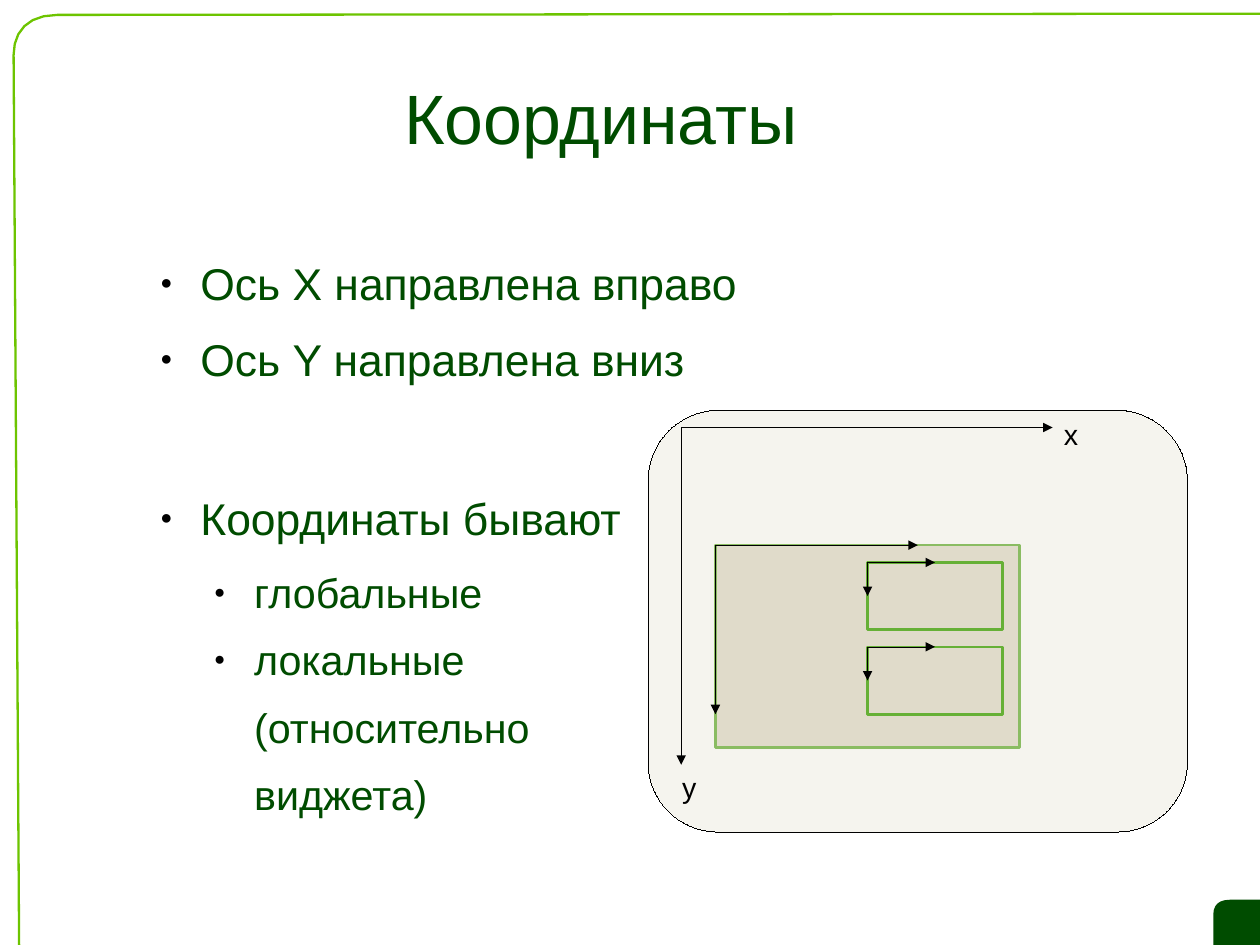
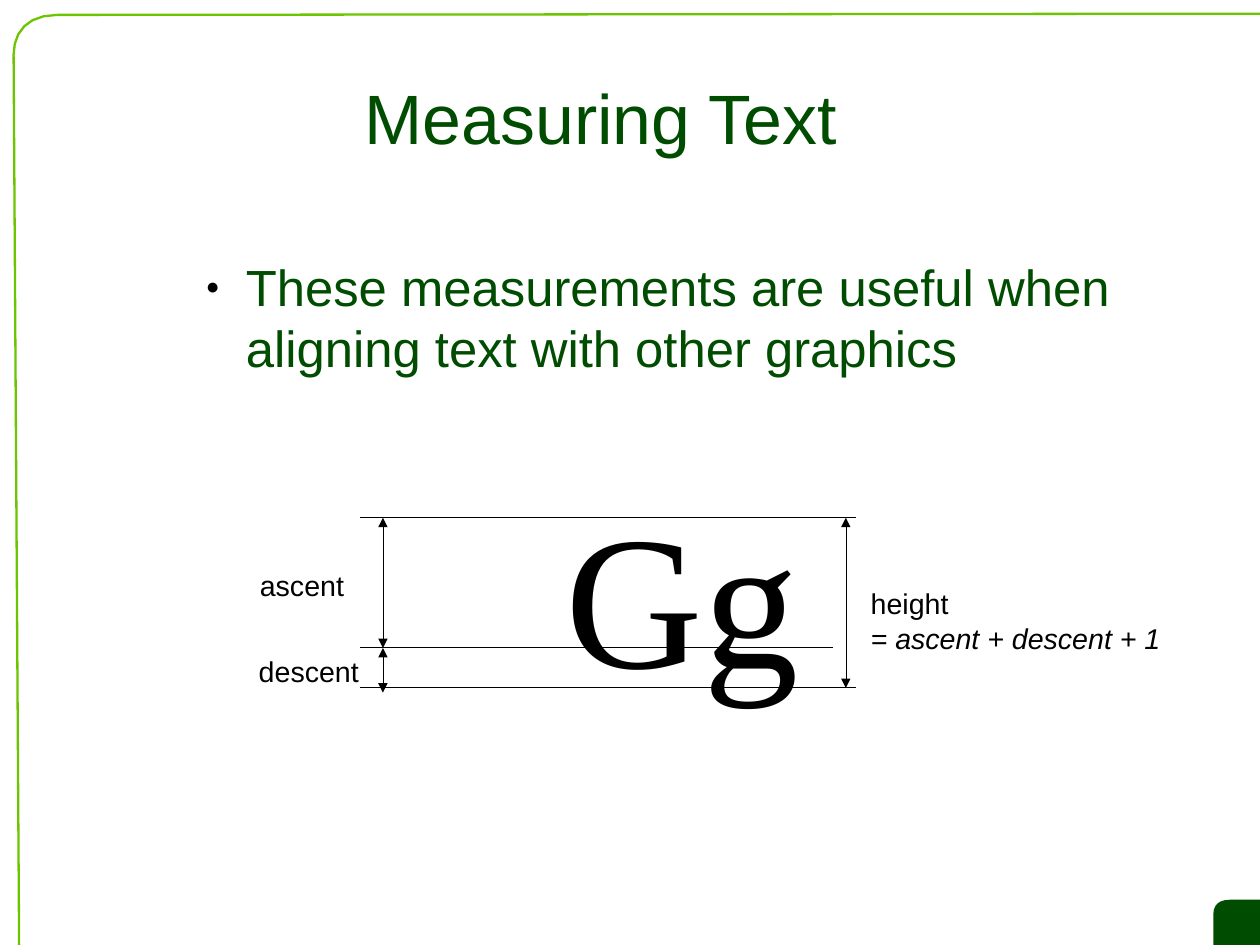
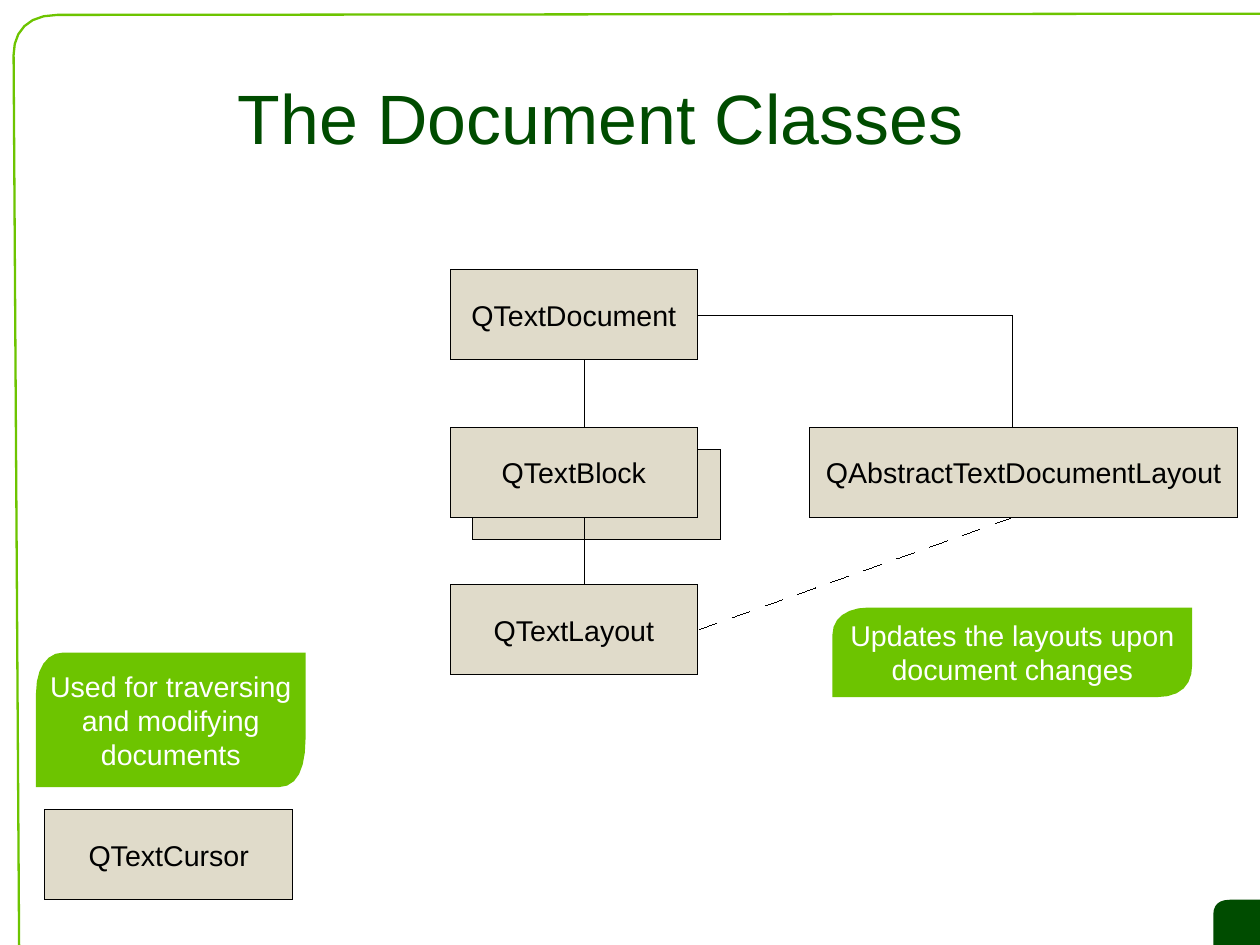
import dataclasses
from typing import Any, NamedTuple, Optional

import lxml.etree
import pptx
import pptx.dml.color
import pptx.enum.shapes
import pptx.enum.text
import pptx.oxml.ns
import pptx.util

Pt = pptx.util.Pt
Shape = pptx.enum.shapes.MSO_SHAPE
Align = pptx.enum.text.PP_ALIGN
Anchor = pptx.enum.text.MSO_ANCHOR


@dataclasses.dataclass(frozen=True)
class Theme:
    dark: str = "004C00"
    lime: str = "6DC400"
    leaf: str = "66B036"
    sand: str = "E0DBCA"
    black: str = "000000"
    white: str = "FFFFFF"
    sans: str = "Arial"
    serif: str = "Times New Roman"
    title: float = 44
    lead: float = 32
    item: float = 28
    sub: float = 26
    label: float = 18
    glyph: float = 120
    hair: float = 0.01


THEME = Theme()


class Box(NamedTuple):
    left: float
    top: float
    width: float
    height: float


class Item(NamedTuple):
    text: str
    size: float
    level: int = 0
    dot: bool = True
    before: float = 0


class Line(NamedTuple):
    x1: float
    y1: float
    x2: float
    y2: float
    ends: tuple[str, ...] = ()
    dash: bool = False


class Axes(NamedTuple):
    x: float
    y: float
    right: float
    down: float


class Label(NamedTuple):
    box: Box
    rows: tuple[str, ...]
    size: float = THEME.label
    font: str = THEME.sans


class Node(NamedTuple):
    box: Box
    text: str = ""


# Outlines: a pair is a straight step, six numbers are a Bézier curve.
Path = tuple[tuple[float, ...], ...]
FRAME: Path = (
    (36, 9.4), (17.5, 9.4, 8.6, 20, 8.6, 34.6),
    (12.2, 615.6), (815, 617), (811.4, 8.6),
)
CORNER: Path = (
    (774.7, 566.8), (796.3, 566.8), (796.3, 597.6), (764.3, 597.6),
    (764.3, 576), (764.3, 570, 768, 566.8, 774.7, 566.8),
)
PETAL: Path = (
    (0.1, 0), (1, 0), (1, 0.64), (1, 0.86, 0.97, 1, 0.9, 1),
    (0, 1), (0, 0.3), (0, 0.12, 0.04, 0, 0.1, 0),
)
TITLE = Box(120.5, 27.4, 516.2, 92)
HEAD = ("headEnd",)
TAIL = ("tailEnd",)


def put(target: Any, **values: Any) -> None:
    for name, value in values.items():
        setattr(target, name, value)


def rgb(color: str) -> pptx.dml.color.RGBColor:
    return pptx.dml.color.RGBColor.from_string(color)


def sub(parent: Any, tag: str, **attrs: str) -> Any:
    return lxml.etree.SubElement(parent, pptx.oxml.ns.qn(f"a:{tag}"), attrs)


def write(para: Any, text: str, size: float, color: str,
          font: str = THEME.sans, italic: bool = False) -> None:
    run = para.add_run()
    run.text = text
    put(run.font, name=font, size=Pt(size), italic=italic)
    run.font.color.rgb = rgb(color)


def pad(frame: Any, side: float, end: float) -> None:
    put(frame, margin_left=Pt(side), margin_right=Pt(side),
        margin_top=Pt(end), margin_bottom=Pt(end))


def paras(frame: Any, count: int) -> list:
    return [frame.paragraphs[0]] + [frame.add_paragraph() for _ in range(count - 1)]


def paint(shape: Any, fill: Optional[str], line: Optional[str],
          width: float = THEME.hair) -> None:
    shape.shadow.inherit = False
    if fill:
        shape.fill.solid()
        shape.fill.fore_color.rgb = rgb(fill)
    else:
        shape.fill.background()
    if line:
        shape.line.color.rgb = rgb(line)
        shape.line.width = Pt(width)
    else:
        shape.line.fill.background()


def trace(path: Path, steps: int = 6) -> list[tuple[float, float]]:
    """Turn an outline into points, sampling its curves."""
    points = [path[0]]
    for part in path[1:]:
        if len(part) == 2:
            points.append(part)
            continue
        ends = (points[-1], part[:2], part[2:4], part[4:])
        for step in range(1, steps + 1):
            t = step / steps
            marks = ((1 - t) ** 3, 3 * t * (1 - t) ** 2, 3 * t * t * (1 - t), t ** 3)
            points.append(tuple(
                sum(m * end[axis] for m, end in zip(marks, ends)) for axis in (0, 1)))
    return points


def outline(slide: Any, path: Path, box: Box = Box(0, 0, 1, 1)) -> Any:
    """Draw an outline scaled into a box."""
    points = [(Pt(box.left + x * box.width), Pt(box.top + y * box.height))
              for x, y in trace(path)]
    pen = slide.shapes.build_freeform(*points[0])
    pen.add_line_segments(points[1:], close=True)
    return pen.convert_to_shape()


def block(slide: Any, box: Box, kind: Any = Shape.RECTANGLE,
          line: str = THEME.black, width: float = THEME.hair) -> Any:
    shape = slide.shapes.add_shape(kind, *map(Pt, box))
    paint(shape, THEME.sand, line, width)
    return shape


def link(slide: Any, line: Line) -> None:
    wire = slide.shapes.add_connector(
        pptx.enum.shapes.MSO_CONNECTOR.STRAIGHT, *map(Pt, line[:4]))
    wire.line.color.rgb = rgb(THEME.black)
    wire.line.width = Pt(THEME.hair)
    props = wire.element.spPr
    stroke = props.find(pptx.oxml.ns.qn("a:ln"))
    if line.dash:
        sub(sub(stroke, "custDash"), "ds", d="1540000", sp="1340000")
    for end in line.ends:
        sub(stroke, end, type="triangle")
    sub(props, "effectLst")


def cross(slide: Any, axes: Axes) -> None:
    """Draw an x arrow and a y arrow from one origin."""
    x, y, right, down = axes
    link(slide, Line(x, y, x + right, y, TAIL))
    link(slide, Line(x, y, x, y + down, TAIL))


def tag(slide: Any, label: Label) -> None:
    frame = slide.shapes.add_textbox(*map(Pt, label.box)).text_frame
    frame.word_wrap = True
    pad(frame, 7.2, 3.6)
    for para, row in zip(paras(frame, len(label.rows)), label.rows):
        write(para, row, label.size, THEME.black, label.font, row.startswith("="))


def centre(shape: Any, rows: tuple[str, ...], color: str) -> None:
    frame = shape.text_frame
    put(frame, word_wrap=True, vertical_anchor=Anchor.MIDDLE)
    pad(frame, 7.2, 3.6)
    for para, row in zip(paras(frame, len(rows)), rows):
        para.alignment = Align.CENTER
        write(para, row, THEME.label, color)


def bullets(slide: Any, box: Box, items: tuple[Item, ...]) -> None:
    frame = slide.shapes.add_textbox(*map(Pt, box)).text_frame
    frame.word_wrap = True
    pad(frame, 0, 0)
    for para, item in zip(paras(frame, len(items)), items):
        props = para._p.get_or_add_pPr()
        props.set("marL", str(Pt(33.84 * (item.level + 1))))
        props.set("indent", str(Pt(-25.2 if item.dot else 0)))
        if item.dot:
            sub(sub(props, "buClr"), "srgbClr", val=THEME.black)
            sub(props, "buSzPct", val="45000")
            sub(props, "buFont", typeface=THEME.sans)
            sub(props, "buChar", char="●")
        put(para, level=item.level, space_after=Pt(11.3 if item.level else 14.2))
        if item.before:
            para.space_before = Pt(item.before)
        write(para, item.text, item.size, THEME.dark)


def brand(slide: Any, layout: Any) -> None:
    """Give the layout its corner and frame, drawn by way of a slide."""
    for path, fill, line in ((CORNER, THEME.dark, None), (FRAME, None, THEME.lime)):
        shape = outline(slide, path)
        paint(shape, fill, line, 1.45)
        layout.shapes.element.append(shape.element)


def start(deck: Any, text: str) -> Any:
    slide = deck.slides.add_slide(deck.slide_layouts[5])
    title = slide.shapes.title
    put(title, **{name: Pt(value) for name, value in TITLE._asdict().items()})
    frame = title.text_frame
    put(frame, word_wrap=True, vertical_anchor=Anchor.MIDDLE,
        auto_size=pptx.enum.text.MSO_AUTO_SIZE.NONE)
    pad(frame, 0, 0)
    para = frame.paragraphs[0]
    para.alignment = Align.CENTER
    write(para, text, THEME.title, THEME.dark)
    return slide


def coords(slide: Any) -> None:
    bullets(slide, Box(92.4, 161.3, 632.9, 366), (
        Item("Ось X направлена вправо", THEME.item),
        Item("Ось Y направлена вниз", THEME.item),
        Item("Координаты бывают", THEME.item, before=52.5),
        Item("глобальные", THEME.sub, 1),
        Item("локальные", THEME.sub, 1),
        Item("(относительно", THEME.sub, 1, False),
        Item("виджета)", THEME.sub, 1, False),
    ))
    block(slide, Box(450.7, 343.4, 191.5, 127.5), line=THEME.leaf, width=1.7)
    screen = block(slide, Box(408.2, 258.5, 339.8, 265.7), Shape.ROUNDED_RECTANGLE)
    color = screen.element.spPr.find(
        f"{pptx.oxml.ns.qn('a:solidFill')}/{pptx.oxml.ns.qn('a:srgbClr')}")
    sub(color, "alpha", val="30000")
    cross(slide, Axes(429.1, 269.3, 234, 212.5))
    cross(slide, Axes(450.7, 343.4, 127.5, 106.5))
    for top in (354.3, 407.5):
        block(slide, Box(546.5, top, 85, 42.5), line=THEME.leaf, width=1.7)
        cross(slide, Axes(546.5, top, 42.5, 21.2))
    tag(slide, Label(Box(663.1, 259.2, 30, 27.4), ("x",)))
    tag(slide, Label(Box(422.6, 481.7, 30, 27.4), ("y",)))


def measure(slide: Any) -> None:
    bullets(slide, Box(121, 161.3, 632.9, 359.3), (
        Item("These measurements are useful when aligning text with other graphics",
             THEME.lead),
    ))
    top, base, foot = 326.2, 408.2, 433.4
    left, near, far = 226.8, 241.2, 532.8
    tag(slide, Label(Box(349.2, 297.4, 180, 139.7), ("Gg",), THEME.glyph, THEME.serif))
    for line in (
        Line(left, base, 524.2, base),
        Line(left, top, 538.6, top),
        Line(left, foot, 538.6, foot),
        Line(near, base, near, 436.3, HEAD + TAIL),
        Line(near, top, near, base, HEAD + TAIL),
        Line(far, top, far, foot, HEAD + TAIL),
    ):
        link(slide, line)
    for label in (
        Label(Box(156.6, 354.2, 75, 27.4), ("ascent",)),
        Label(Box(155.9, 408.2, 85, 27.4), ("descent",)),
        Label(Box(541.4, 365.8, 210, 56.9), ("height", "= ascent + descent + 1")),
    ):
        tag(slide, label)


def classes(slide: Any) -> None:
    wide, high, left, top, pitch = 156, 56.7, 283.5, 170, 99.2
    middle = top + pitch
    stack = ("QTextDocument", "QTextBlock", "QTextLayout")
    nodes = [Node(Box(left + 14.1, middle + 14.1, wide, high))]
    nodes += [Node(Box(left, top + row * pitch, wide, high), text)
              for row, text in enumerate(stack)]
    nodes += [
        Node(Box(28.3, 510.2, wide, high), "QTextCursor"),
        Node(Box(510.2, middle, 269.3, high), "QAbstractTextDocumentLayout"),
    ]
    for node in nodes:
        shape = block(slide, node.box)
        if node.text:
            centre(shape, (node.text,), THEME.black)
    stem, side, turn, level = 368.5, left + wide, 638, 198.5
    for line in (
        Line(stem, top + high, stem, middle),
        Line(stem, middle + pitch, stem, middle + high),
        Line(side, level, turn, level),
        Line(turn, middle, turn, level),
        Line(turn, middle + high, side, 396.9, dash=True),
    ):
        link(slide, line)
    for box, rows in (
        (Box(524.4, 382.7, 226.6, 56.5),
         ("Updates the layouts upon", "document changes")),
        (Box(22.7, 411.1, 169.8, 84.8),
         ("Used for traversing", "and modifying", "documents")),
    ):
        petal = outline(slide, PETAL, box)
        paint(petal, THEME.lime, None)
        centre(petal, rows, THEME.white)


def main() -> None:
    deck = pptx.Presentation()
    put(deck, slide_width=Pt(793.7), slide_height=Pt(595.3))
    pages = (("Координаты", coords), ("Measuring Text", measure),
             ("The Document Classes", classes))
    for index, (text, draw) in enumerate(pages):
        slide = start(deck, text)
        if index == 0:
            brand(slide, slide.slide_layout)
        draw(slide)
    deck.save("out.pptx")


if __name__ == "__main__":
    main()
